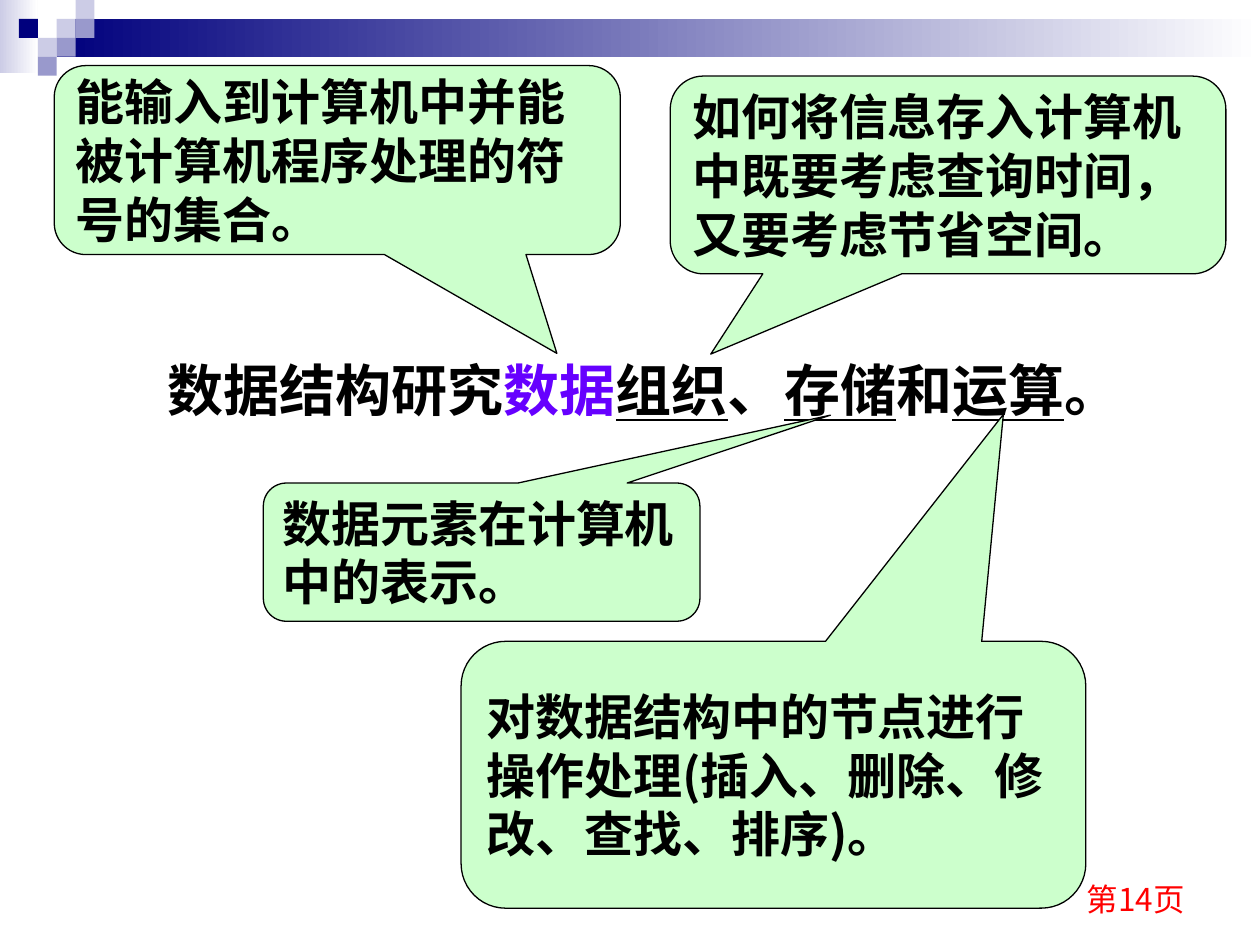
from pptx import Presentation
from pptx.dml.color import RGBColor
from pptx.enum.shapes import MSO_SHAPE as SHAPE
from pptx.enum.text import MSO_ANCHOR as ANCHOR, PP_ALIGN as ALIGN
from pptx.oxml.ns import qn
from pptx.util import Pt

CJK = "Noto Sans CJK SC"
NAVY, LAVENDER, PERIWINKLE, WHITE = "00007D", "CCCCE6", "9999CC", "FFFFFF"
BLACK, MINT, VIOLET, RED = "000000", "CCFFCC", "6600FF", "FF0000"

CALLOUTS = [
    ((31, 37.5, 323.5, 108), (0.388, 1.023),
     "能输入到计算机中并能被计算机程序处理的符号的集合。"),
    ((383, 43.5, 317.5, 113), (-0.427, 0.906),
     "如何将信息存入计算机中既要考虑查询时间，又要考虑节省空间。"),
    ((150.5, 276, 249.5, 79), (0.799, -0.991),
     "数据元素在计算机中的表示。"),
    ((263.5, 366.5, 357, 152.5), (0.368, -1.35),
     "对数据结构中的节点进行操作处理(插入、删除、修改、查找、排序)。"),
]
SENTENCE = [
    ("数据结构研究", BLACK, False), ("数据", VIOLET, False),
    ("组织", BLACK, True), ("、", BLACK, False),
    ("存储", BLACK, True), ("和", BLACK, False),
    ("运算", BLACK, True), ("。", BLACK, False),
]
TILES = [
    (3, 1, LAVENDER), (4, 0, LAVENDER), (4, 1, PERIWINKLE), (2, 2, LAVENDER),
    (1, 1, NAVY), (3, 2, PERIWINKLE), (2, 3, PERIWINKLE),
]


def paint(color_format, value):
    color_format.rgb = RGBColor.from_string(value)


def add_run(paragraph, text, size, color, bold=True, underline=False, latin=CJK):
    run = paragraph.add_run()
    run.text = text
    font = run.font
    font.size, font.bold, font.name = Pt(size), bold, latin
    if underline:
        font.underline = True
    paint(font.color, color)
    east_asian = run._r.get_or_add_rPr().makeelement(qn("a:ea"), {"typeface": CJK})
    run._r.rPr.find(qn("a:latin")).addnext(east_asian)


def add_block(slide, box, *colors):
    block = slide.shapes.add_shape(SHAPE.RECTANGLE, *map(Pt, box))
    block.shadow.inherit = False
    block.line.fill.background()
    if len(colors) == 1:
        block.fill.solid()
        paint(block.fill.fore_color, colors[0])
    else:
        block.fill.gradient()
        block.fill.gradient_angle = 0
        for stop, color in zip(block.fill.gradient_stops, colors):
            paint(stop.color, color)


def add_header(slide, box):
    left, top, width, height = box
    tile = height / 4
    add_block(slide, (left, top, 2 * tile, height - 1.5), LAVENDER, WHITE)
    add_block(slide, (left + 3 * tile, top + tile, width - 3 * tile, 2 * tile), NAVY, WHITE)
    for column, row, color in TILES:
        add_block(slide, (left + column * tile, top + row * tile, tile, tile), color)


def add_page_number(slide, box):
    frame = slide.shapes.add_textbox(*map(Pt, box)).text_frame
    frame.word_wrap = True
    frame.vertical_anchor = ANCHOR.BOTTOM
    paragraph = frame.paragraphs[0]
    paragraph.alignment = ALIGN.RIGHT
    add_run(paragraph, "第14页", 18, RED, bold=False)


def add_sentence(slide, box):
    frame = slide.shapes.add_textbox(*map(Pt, box)).text_frame
    frame.word_wrap = True
    paragraph = frame.paragraphs[0]
    paragraph.line_spacing = Pt(38)
    paragraph._p.get_or_add_pPr().set("indent", str(Pt(57.5)))
    for text, color, underline in SENTENCE:
        add_run(paragraph, text, 32, color, underline=underline, latin="Times New Roman")


def add_callout(slide, box, tip, text):
    callout = slide.shapes.add_shape(SHAPE.ROUNDED_RECTANGULAR_CALLOUT, *map(Pt, box))
    callout.shadow.inherit = False
    for index, value in enumerate((*tip, 0.167)):
        callout.adjustments[index] = value
    callout.fill.solid()
    paint(callout.fill.fore_color, MINT)
    callout.line.width = Pt(0.75)
    paint(callout.line.color, BLACK)
    frame = callout.text_frame
    frame.word_wrap = True
    frame.vertical_anchor = ANCHOR.MIDDLE
    paragraph = frame.paragraphs[0]
    paragraph.alignment = ALIGN.LEFT
    paragraph.line_spacing = Pt(33.5)
    add_run(paragraph, text, 28, BLACK)


def main():
    deck = Presentation()
    deck.slide_width, deck.slide_height = Pt(720), Pt(540)
    slide = deck.slides.add_slide(deck.slide_layouts[6])
    add_header(slide, (0, 0, 720, 43.2))
    add_page_number(slide, (516, 492, 168, 36))
    first, *others = CALLOUTS
    add_callout(slide, *first)
    add_sentence(slide, (31, 200, 647.5, 46))
    for callout in others:
        add_callout(slide, *callout)
    deck.save("out.pptx")


if __name__ == "__main__":
    main()
